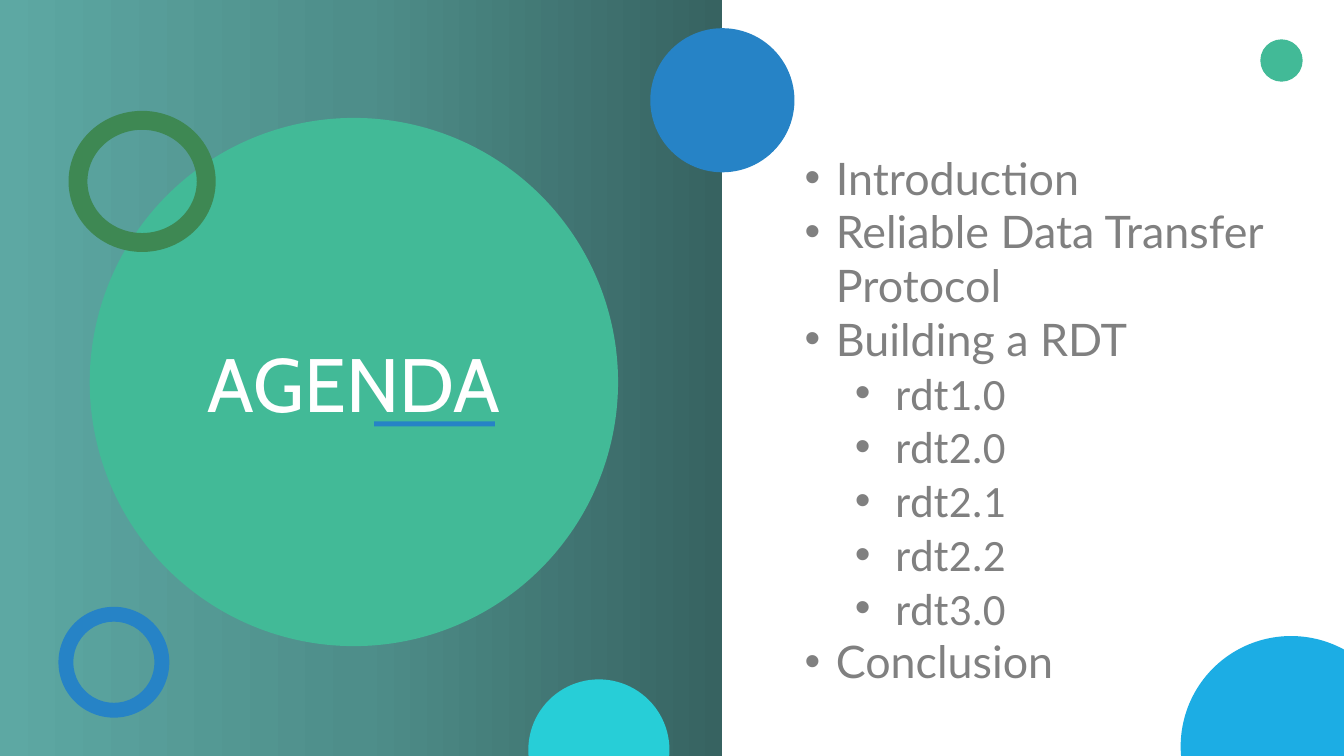
from copy import deepcopy

from lxml import etree
from pptx import Presentation
from pptx.dml.color import RGBColor
from pptx.enum.shapes import MSO_SHAPE
from pptx.enum.text import MSO_ANCHOR, MSO_AUTO_SIZE, PP_ALIGN
from pptx.oxml.ns import qn
from pptx.util import Inches, Pt

RECT, OVAL, DONUT = MSO_SHAPE.RECTANGLE, MSO_SHAPE.OVAL, MSO_SHAPE.DONUT
TOP, MIDDLE = MSO_ANCHOR.TOP, MSO_ANCHOR.MIDDLE
CENTER, LEFT = PP_ALIGN.CENTER, PP_ALIGN.LEFT
NO_FIT = MSO_AUTO_SIZE.NONE

GREEN, BLUE, SKY, CYAN, DARK_GREEN = "42BA97", "2683C6", "1CADE4", "27CED7", "3E8853"
WHITE, GRAY = "FFFFFF", "808080"
PANEL_STOPS = [(0, "376361"), (0.5, "4E8E8A"), (1, "5DA8A3")]

PANEL = (0, 0, 7.16, 7.5)
TITLE_CIRCLE = (0.89, 1.17, 5.24, 5.24)
LIST_BOX = (7.88, 1.44, 5.04, 5.49)
AGENDA = [
    ("Introduction", 0, "Lato"),
    ("Reliable Data Transfer Protocol", 0, "Lato"),
    ("Building a RDT", 0, "Lato"),
    *[(f"rdt{version}", 1, "Calibri") for version in ("1.0", "2.0", "2.1", "2.2", "3.0")],
    ("Conclusion", 0, "Lato"),
]
# Left margin and hanging indent per list level
INDENTS = [(0.31, -0.31), (0.9, -0.4)]


def rgb(color):
    return RGBColor.from_string(color)


def set_attrs(target, values):
    for name, value in values.items():
        setattr(target, name, value)


def place(shape, box):
    names = ("left", "top", "width", "height")
    set_attrs(shape, dict(zip(names, map(Inches, box))))


def add_filled(s, kind, box, color=None):
    shape = s.shapes.add_shape(kind, *map(Inches, box))
    shape.shadow.inherit = False
    shape.line.fill.background()
    if color:
        shape.fill.solid()
        shape.fill.fore_color.rgb = rgb(color)
    if kind == DONUT:
        shape.adjustments[0] = 0.134
    return shape


def style_run(r, font, size, color):
    set_attrs(r.font, {"name": font, "size": Pt(size), "bold": False})
    r.font.color.rgb = rgb(color)


def add_panel(s, box):
    """Left panel with a three-stop horizontal gradient."""
    panel = add_filled(s, RECT, box)
    panel.fill.gradient()
    panel.fill.gradient_angle = 180
    stop_list = panel._element.spPr.find(qn("a:gradFill")).find(qn("a:gsLst"))
    stop_list.append(deepcopy(stop_list[0]))
    for stop, (position, color) in zip(panel.fill.gradient_stops, PANEL_STOPS):
        stop.position = position
        stop.color.rgb = rgb(color)


def add_title(s, box):
    """Circle with the title in its middle and a short underline."""
    left, top, _, _ = box
    add_filled(s, OVAL, box, GREEN)
    title = s.shapes.title
    place(title, box)
    tf = title.text_frame
    set_attrs(tf, {"vertical_anchor": MIDDLE, "auto_size": NO_FIT, "word_wrap": True})
    p = tf.paragraphs[0]
    p.alignment = CENTER
    r = p.add_run()
    r.text = "AGENDA"
    style_run(r, "Cabin", 54, WHITE)
    s.shapes._spTree.append(title._element)  # bring in front of the circle
    add_filled(s, RECT, (left + 2.82, top + 3.01, 1.2, 0.05), BLUE)


def add_bullet(p, level):
    margin, indent = INDENTS[level]
    pPr = p._p.get_or_add_pPr()
    pPr.set("marL", str(Inches(margin)))
    pPr.set("indent", str(Inches(indent)))
    etree.SubElement(pPr, qn("a:buFont")).set("typeface", "Arial")
    etree.SubElement(pPr, qn("a:buChar")).set("char", "•")


def add_agenda(s, box):
    body = s.placeholders[1]
    place(body, box)
    tf = body.text_frame
    set_attrs(tf, {"vertical_anchor": TOP, "auto_size": NO_FIT, "word_wrap": True})
    for i, (text, level, font) in enumerate(AGENDA):
        p = tf.add_paragraph() if i else tf.paragraphs[0]
        set_attrs(p, {"level": level, "alignment": LEFT, "line_spacing": 1.0,
                      "space_before": Pt(0), "space_after": Pt(0)})
        add_bullet(p, level)
        r = p.add_run()
        r.text = text
        style_run(r, font, 32, GRAY)


def add_decorations(s):
    for kind, box, color in [
        (OVAL, (6.45, 0.28, 1.43, 1.43), BLUE),
        (OVAL, (11.71, 6.31, 2.19, 2.19), SKY),
        (OVAL, (5.24, 6.74, 1.4, 1.4), CYAN),
        (OVAL, (12.5, 0.39, 0.42, 0.42), GREEN),
        (DONUT, (0.68, 1.1, 1.46, 1.4), DARK_GREEN),
        (DONUT, (0.58, 6.02, 1.1, 1.1), BLUE),
    ]:
        add_filled(s, kind, box, color)


def main():
    prs = Presentation()
    prs.slide_width, prs.slide_height = Inches(13.33), Inches(7.5)
    s = prs.slides.add_slide(prs.slide_layouts[1])
    add_panel(s, PANEL)
    add_title(s, TITLE_CIRCLE)
    add_decorations(s)
    add_agenda(s, LIST_BOX)
    prs.save("out.pptx")


if __name__ == "__main__":
    main()
